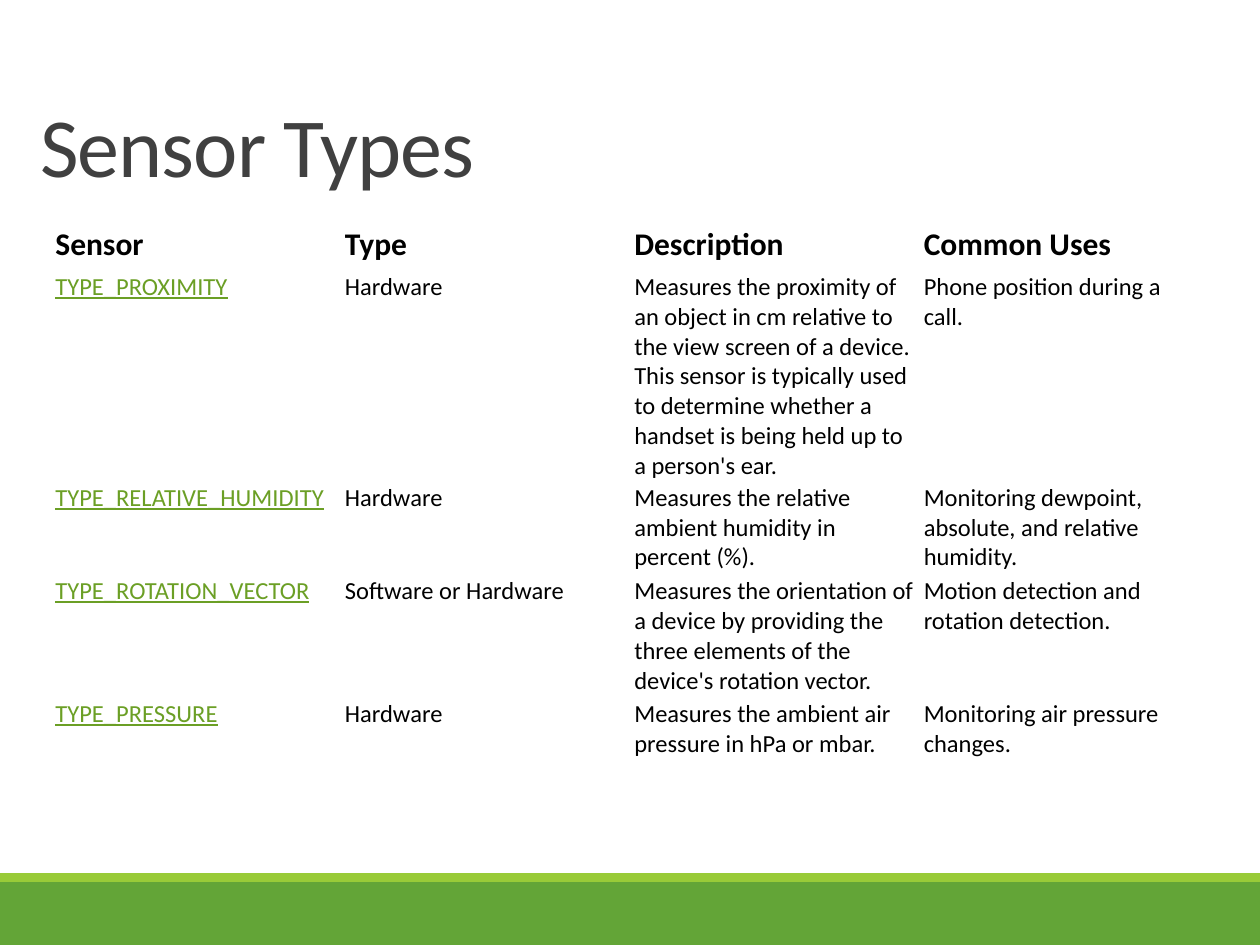
from dataclasses import dataclass

from pptx import Presentation
from pptx.dml.color import RGBColor as Color
from pptx.enum.shapes import MSO_SHAPE as Shape
from pptx.enum.text import MSO_ANCHOR as Anchor
from pptx.util import Inches, Pt


@dataclass(frozen=True)
class Theme:
    font: str = "Calibri"
    title: int = 48
    head: int = 18
    body: int = 14
    ink: str = "000000"
    gray: str = "404040"
    link: str = "6B9F25"
    green: str = "63A537"
    lime: str = "99CB38"
    paper: str = "FFFFFF"


# Grid of 100 columns by 75 rows on a 10 by 7.5 inch slide
UNIT = 0.1
COLS, ROWS = 100, 75

HEADS = ["Sensor", "Type", "Description", "Common Uses"]
SENSORS = [
    ["TYPE_PROXIMITY", "Hardware",
     "Measures the proximity of an object in cm relative to the view screen "
     "of a device. This sensor is typically used to determine whether a "
     "handset is being held up to a person's ear.",
     "Phone position during a call."],
    ["TYPE_RELATIVE_HUMIDITY", "Hardware",
     "Measures the relative ambient humidity in percent (%).",
     "Monitoring dewpoint, absolute, and relative humidity."],
    ["TYPE_ROTATION_VECTOR", "Software or Hardware",
     "Measures the orientation of a device by providing the three elements "
     "of the device's rotation vector.",
     "Motion detection and rotation detection."],
    ["TYPE_PRESSURE", "Hardware",
     "Measures the ambient air pressure in hPa or mbar.",
     "Monitoring air pressure changes."],
]
HEIGHTS = [3.9, 13, 4.8, 6.6, 6.6, 6.6]


def grid(*units):
    return [Inches(unit * UNIT) for unit in units]


def write(frame, text, *, font, size, color, bold=False, line=None,
          under=False, space=None):
    para = frame.paragraphs[0]
    if line:
        para.line_spacing = line
    run = para.add_run()
    run.text = text
    face = run.font
    face.name, face.size, face.bold = font, Pt(size), bold
    face.underline = under
    face.color.rgb = Color.from_string(color)
    if space is not None:
        run._r.get_or_add_rPr().set("spc", str(round(space * 100)))


class Page:
    def __init__(self, deck, theme):
        self.theme = theme
        self.slide = deck.slides.add_slide(deck.slide_layouts[6])
        self.paint(self.slide.background, theme.paper)

    def paint(self, item, color):
        item.fill.solid()
        item.fill.fore_color.rgb = Color.from_string(color)

    def band(self, top, height, color):
        bar = self.slide.shapes.add_shape(
            Shape.RECTANGLE, *grid(0, top, COLS, height))
        bar.shadow.inherit = False
        bar.line.fill.background()
        self.paint(bar, color)

    def title(self, text, *area):
        frame = self.slide.shapes.add_textbox(*grid(*area)).text_frame
        frame.word_wrap = True
        frame.vertical_anchor = Anchor.BOTTOM
        write(frame, text, font=self.theme.font, size=self.theme.title,
              color=self.theme.gray, line=0.85, space=-0.5)

    def table(self, heads, rows, heights, left, top, width):
        look = self.theme
        count = len(heads)
        table = self.slide.shapes.add_table(
            len(heights), count,
            *grid(left, top, width, sum(heights))).table
        table.first_row = table.horz_banding = False
        for col in table.columns:
            col.width = grid(width / count)[0]
        for row, height in zip(table.rows, heights):
            row.height = grid(height)[0]
        for cell in table.iter_cells():
            self.paint(cell, look.paper)

        # Header row, then sensors with link-styled names
        for r, row in enumerate([heads, *rows]):
            top_row = r == 0
            for c, text in enumerate(row):
                cell = table.cell(r, c)
                name = c == 0 and not top_row
                cell.margin_left = cell.margin_right = Inches(0.03)
                cell.margin_top = cell.margin_bottom = Inches(
                    0.01 if top_row else 0.02)
                cell.vertical_anchor = Anchor.MIDDLE if top_row else Anchor.TOP
                write(cell.text_frame, text, font=look.font,
                      size=look.head if top_row else look.body,
                      color=look.link if name else look.ink,
                      bold=top_row, under=name)


def main():
    deck = Presentation()
    deck.slide_width, deck.slide_height = grid(COLS, ROWS)
    theme = Theme()
    page = Page(deck, theme)

    # Footer bands
    page.band(70, 5, theme.green)
    page.band(69.3, 0.7, theme.lime)

    # Title and sensor table
    page.title("Sensor Types", 2.2, 0, 82.5, 15.9)
    page.table(HEADS, SENSORS, HEIGHTS, 4.1, 17.5, 91.9)

    deck.save("out.pptx")


if __name__ == "__main__":
    main()
